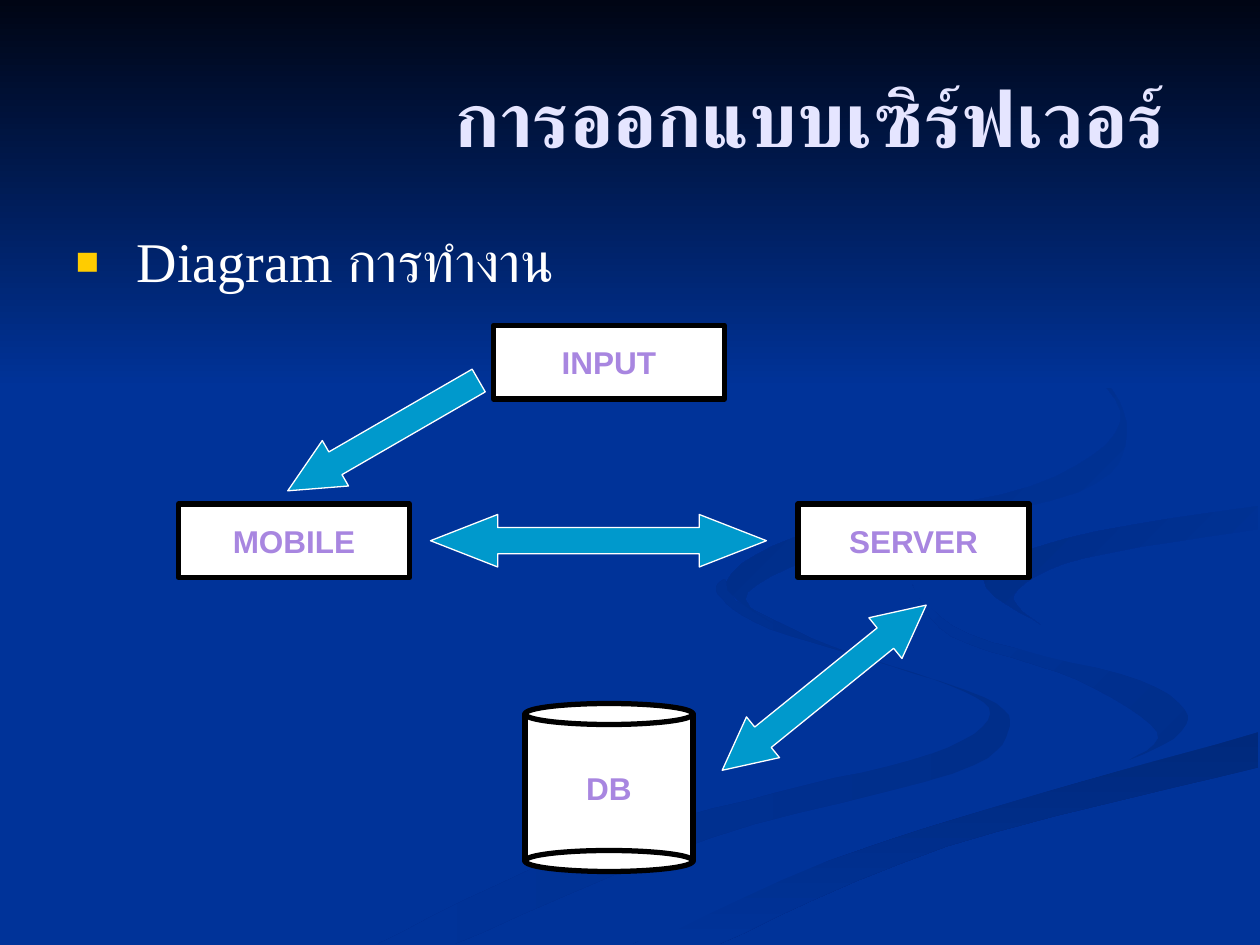
from dataclasses import dataclass
from typing import Any

from lxml import etree
from pptx import Presentation
from pptx import util as u
from pptx.dml.color import RGBColor
from pptx.enum import shapes, text
from pptx.oxml import ns

PX = 7620
CURVE_STEPS = 6
WHITE = RGBColor(0xFF, 0xFF, 0xFF)
BLACK = RGBColor(0x00, 0x00, 0x00)
BLUE = RGBColor(0x00, 0x33, 0x99)
NIGHT = RGBColor(0x00, 0x05, 0x14)
SHADE = RGBColor(0x00, 0x2E, 0x8A)
DEEP_SHADE = RGBColor(0x00, 0x29, 0x7C)
SOFT_SHADE = RGBColor(0x00, 0x2C, 0x85)
TRAIL_SHADE = RGBColor(0x00, 0x2B, 0x81)
LAVENDER = RGBColor(0xE5, 0xE5, 0xFF)
PURPLE = RGBColor(0xA8, 0x86, 0xE0)
CYAN = RGBColor(0x00, 0x99, 0xCC)
GOLD = RGBColor(0xFF, 0xCC, 0x00)

KIND = shapes.MSO_SHAPE
Area = tuple[int, int, int, int]
Point = tuple[int, int]
Edge = tuple[Point, ...]


@dataclass(frozen=True)
class Swoosh:
    start: RGBColor
    end: RGBColor
    angle: int
    edges: tuple[Edge, ...]


@dataclass(frozen=True)
class Node:
    kind: KIND
    area: Area
    label: str = ""


@dataclass(frozen=True)
class Arrow:
    kind: KIND
    area: Area
    head: float
    rotation: int = 0


SWOOSHES = (
    Swoosh(SHADE, BLUE, 180, (
        ((360, 899), (550, 809), (739, 755), (887, 718), (943, 680), (889, 647), (733, 599),
         (684, 566), (690, 551)),
        ((700, 572), (793, 616), (937, 664), (960, 697), (907, 737), (677, 798), (433, 899)))),
    Swoosh(SHADE, BLUE, 135, (
        ((869, 557), (906, 606), (1025, 647), (1102, 697), (1073, 726)),
        ((1073, 726), (1132, 690), (1086, 648), (923, 604), (869, 557)))),
    Swoosh(DEEP_SHADE, BLUE, 270, (
        ((603, 899), (756, 832), (956, 766), (1198, 697)),
        ((1198, 731), (902, 806), (685, 899)))),
    Swoosh(BLUE, BLUE, 0, (
        ((1199, 464), (970, 500), (870, 557), (950, 611), (1086, 648), (1132, 684), (1070, 726),
         (845, 786), (572, 899)),
        ((623, 896), (835, 803), (1199, 697)),
        ((1199, 646), (1039, 611), (937, 556), (1020, 512), (1199, 482)))),
    Swoosh(BLUE, SOFT_SHADE, 135, (
        ((1198, 482), (1019, 512), (937, 552), (991, 595)),
        ((991, 595), (966, 566), (1031, 532), (1198, 504)))),
    Swoosh(BLUE, TRAIL_SHADE, 135, (
        ((914, 280), (1037, 349), (1073, 413), (1026, 469), (820, 516), (712, 564), (746, 600)),
        ((746, 600), (692, 554), (779, 504), (982, 463), (1067, 402), (1015, 335), (914, 280)))),
    Swoosh(NIGHT, BLUE, 270, (((0, 0), (1200, 0)), ((1200, 370), (0, 370)))),
)
NODES = (
    Node(KIND.RECTANGLE, (470, 310, 220, 70), "INPUT"),
    Node(KIND.RECTANGLE, (170, 480, 220, 70), "MOBILE"),
    Node(KIND.RECTANGLE, (760, 480, 220, 70), "SERVER"),
    Node(KIND.RECTANGLE, (500, 680, 160, 140), "DB"),
    Node(KIND.OVAL, (500, 810, 160, 20)),
    Node(KIND.OVAL, (500, 670, 160, 20)),
)
ARROWS = (
    Arrow(KIND.LEFT_ARROW, (260, 390, 210, 50), 1.05, 330),
    Arrow(KIND.LEFT_RIGHT_ARROW, (660, 630, 250, 50), 1.0, 321),
    Arrow(KIND.LEFT_RIGHT_ARROW, (410, 490, 320, 50), 1.28),
)


def apply(target: Any, values: dict[str, Any]) -> None:
    for name, value in values.items():
        setattr(target, name, value)


def blend(a: int, b: int, c: int, d: int, t: float) -> int:
    bend = (2 * a - 5 * b + 4 * c - d) * t ** 2 + (3 * b - a - 3 * c + d) * t ** 3
    return round(b + ((c - a) * t + bend) / 2)


def smooth_edge(edge: Edge) -> list[Point]:
    if len(edge) == 2:
        return list(edge)
    knots = (edge[0], *edge, edge[-1])
    curve = [
        tuple(blend(*values, step / CURVE_STEPS) for values in zip(*knots[first:first + 4]))
        for first in range(len(edge) - 1)
        for step in range(CURVE_STEPS)
    ]
    return [*curve, edge[-1]]


def write(box: Any, words: str, size: int, font: str, color: RGBColor, bold: bool,
          align: text.PP_ALIGN, anchor: text.MSO_ANCHOR, wrap: bool) -> Any:
    apply(box.text_frame, {"word_wrap": wrap, "vertical_anchor": anchor,
                           "auto_size": text.MSO_AUTO_SIZE.NONE})
    para = box.text_frame.paragraphs[0]
    apply(para, {"alignment": align, "space_before": u.Pt(0)})
    span = para.add_run()
    span.text = words
    apply(span.font, {"size": u.Pt(size), "name": font, "bold": bold})
    span.font.color.rgb = color
    script_font = etree.SubElement(span.font._element, ns.qn("a:cs"))
    script_font.set("typeface", font)
    return para


def place(box: Any, area: Area) -> None:
    apply(box, dict(zip(("left", "top", "width", "height"), (PX * value for value in area))))


def draw_swoosh(page: Any, swoosh: Swoosh, layer: int) -> None:
    points = [point for edge in swoosh.edges for point in smooth_edge(edge)]
    builder = page.shapes.build_freeform(*points[0], scale=PX)
    builder.add_line_segments(points[1:], close=True)
    outline = builder.convert_to_shape()
    outline.shadow.inherit = False
    outline.line.fill.background()
    outline.fill.gradient()
    outline.fill.gradient_angle = swoosh.angle
    for stop, color in zip(outline.fill.gradient_stops, (swoosh.start, swoosh.end)):
        stop.color.rgb = color
    page.shapes._spTree.insert(2 + layer, outline._element)


def draw_shape(page: Any, kind: KIND, area: Area, fill: RGBColor, line: RGBColor,
               weight: float) -> Any:
    box = page.shapes.add_shape(kind, *(PX * value for value in area))
    box.shadow.inherit = False
    box.fill.solid()
    box.fill.fore_color.rgb = fill
    box.line.color.rgb = line
    box.line.width = u.Pt(weight)
    return box


def draw_node(page: Any, node: Node) -> None:
    box = draw_shape(page, node.kind, node.area, WHITE, BLACK, 3)
    if node.label:
        write(box, node.label, 18, "Arial", PURPLE, True, text.PP_ALIGN.CENTER,
              text.MSO_ANCHOR.MIDDLE, False)


def draw_arrow(page: Any, arrow: Arrow) -> None:
    box = draw_shape(page, arrow.kind, arrow.area, CYAN, WHITE, 0.75)
    box.rotation = arrow.rotation
    box.adjustments[0] = 0.5
    box.adjustments[1] = arrow.head


def add_bullet(para: Any, mark: str, color: RGBColor, percent: int, indent: int) -> None:
    properties = para._p.get_or_add_pPr()
    properties.set("marL", str(indent * PX))
    properties.set("indent", str(-indent * PX))
    tint = etree.SubElement(properties, ns.qn("a:buClr"))
    etree.SubElement(tint, ns.qn("a:srgbClr")).set("val", str(color))
    etree.SubElement(properties, ns.qn("a:buSzPct")).set("val", str(percent * 1000))
    etree.SubElement(properties, ns.qn("a:buChar")).set("char", mark)


def main() -> None:
    deck = Presentation()
    apply(deck, {"slide_width": 1200 * PX, "slide_height": 900 * PX})
    page = deck.slides.add_slide(deck.slide_layouts[1])
    page.background.fill.solid()
    page.background.fill.fore_color.rgb = BLUE
    title, body = page.placeholders
    for layer, swoosh in enumerate(SWOOSHES):
        draw_swoosh(page, swoosh, layer)
    place(title, (60, 36, 1080, 150))
    write(title, "การออกแบบเซิร์ฟเวอร์ ", 44, "Times New Roman", LAVENDER, True,
          text.PP_ALIGN.RIGHT, text.MSO_ANCHOR.MIDDLE, True)
    place(body, (60, 210, 1080, 594))
    para = write(body, " Diagram การทำงาน", 32, "Times New Roman", WHITE, False,
                 text.PP_ALIGN.LEFT, text.MSO_ANCHOR.TOP, True)
    add_bullet(para, "■", GOLD, 70, 45)
    for node in NODES:
        draw_node(page, node)
    for arrow in ARROWS:
        draw_arrow(page, arrow)
    deck.save("out.pptx")


if __name__ == "__main__":
    main()
